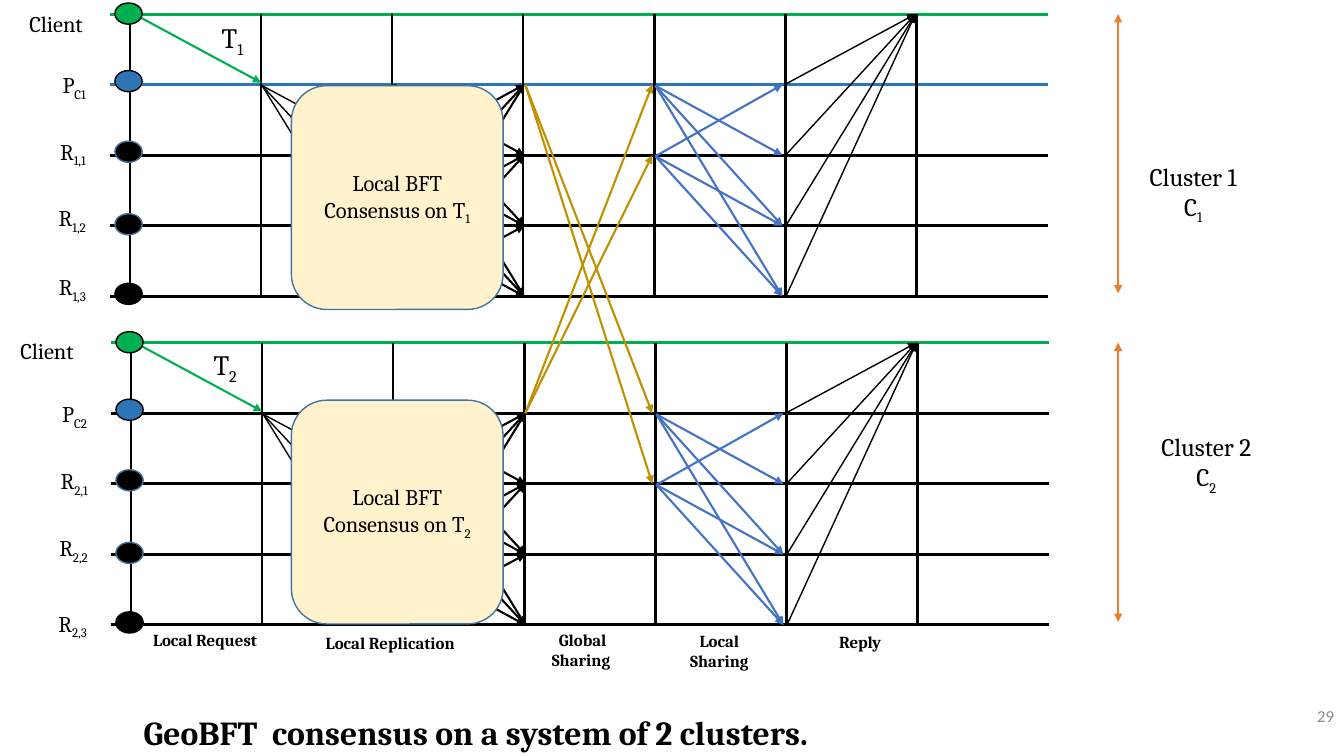
from pptx import Presentation
from pptx.dml.color import RGBColor
from pptx.enum.shapes import MSO_CONNECTOR, MSO_SHAPE
from pptx.enum.text import MSO_ANCHOR, MSO_AUTO_SIZE, PP_ALIGN
from pptx.oxml.ns import qn
from pptx.util import Inches, Pt
from lxml import etree

STRAIGHT = MSO_CONNECTOR.STRAIGHT
OVAL, ROUNDED = MSO_SHAPE.OVAL, MSO_SHAPE.ROUNDED_RECTANGLE
LEFT, CENTER, RIGHT = PP_ALIGN.LEFT, PP_ALIGN.CENTER, PP_ALIGN.RIGHT
TOP, MIDDLE = MSO_ANCHOR.TOP, MSO_ANCHOR.MIDDLE
GROW = MSO_AUTO_SIZE.SHAPE_TO_FIT_TEXT

COLORS = {k: RGBColor.from_string(v) for k, v in {
    "black": "000000", "green": "00B050", "primary": "2E75B6",
    "edge": "43739E", "share": "4472C4", "global": "BF9000",
    "span": "ED7D31", "box": "FFF2CC", "grey": "8C8C8C"}.items()}

prs = Presentation()
prs.slide_width, prs.slide_height = Inches(13.33), Inches(7.5)
s = prs.slides.add_slide(prs.slide_layouts[5])


def add_line(x1, y1, x2, y2, color, width, ends=()):
    """Straight line; ends lists headEnd and/or tailEnd for arrowheads."""
    c = s.shapes.add_connector(STRAIGHT, Inches(x1), Inches(y1), Inches(x2), Inches(y2))
    c.line.color.rgb = COLORS[color]
    c.line.width = Pt(width)
    for end in ends:
        etree.SubElement(c.line._get_or_add_ln(), qn("a:" + end), type="triangle")
    etree.SubElement(c._element.spPr, qn("a:effectLst"))


def write(sp, text, size, align=RIGHT, bold=False, color="black", font="Cambria",
          wrap=False, anchor=TOP, auto_size=GROW):
    """Fill a shape with text; what follows "_" in a line is subscript."""
    tf = sp.text_frame
    tf.word_wrap, tf.vertical_anchor, tf.auto_size = wrap, anchor, auto_size
    for i, line in enumerate(text.split("\n")):
        p = tf.add_paragraph() if i else tf.paragraphs[0]
        p.alignment = align
        for j, part in enumerate(line.split("_")):
            r = p.add_run()
            r.text = part
            for key, value in {"size": Pt(size), "name": font, "bold": bold}.items():
                setattr(r.font, key, value)
            r.font.color.rgb = COLORS[color]
            if j:
                r._r.get_or_add_rPr().set("baseline", "-25000")


ROW_GAP, COL_GAP = 0.7, 1.3
ARROW = ["tailEnd"]
clusters = [
    {"left": 1.09, "top": 0.14, "primary": "primary", "box_top": 0.85,
     "labels": [("Client", 0.12, 0.05, 0.8), ("P_C1", 0.43, 0.66, 0.52),
                ("R_1,1", 0.41, 1.32, 0.54), ("R_1,2", 0.41, 1.98, 0.54),
                ("R_1,3", 0.41, 2.66, 0.54)],
     "request": (2.1, 0.15), "name": (11.22, 1.55, 1.23)},
    {"left": 1.1, "top": 3.4, "primary": "black", "box_top": 3.97,
     "labels": [("Client", 0.03, 3.3, 0.8), ("P_C2", 0.44, 3.92, 0.52),
                ("R_2,1", 0.43, 4.59, 0.54), ("R_2,2", 0.43, 5.25, 0.54),
                ("R_2,3", 0.42, 6.0, 0.54)],
     "request": (2.02, 3.4), "name": (11.36, 4.23, 1.21)},
]
nodes = [(-0.11, "green", "black"), (0.56, "primary", "black"), (1.26, "black", "edge"),
         (1.98, "black", "edge"), (2.67, "black", "black")]

for n, cl in enumerate(clusters, 1):
    left, top = cl["left"], cl["top"]
    rows = [top + ROW_GAP * i for i in range(5)]
    cols = [left + 0.2 + COL_GAP * i for i in range(7)]
    bottom = rows[-1]
    replicas = rows[1:]

    # Timelines and phase borders
    for y, color in zip(rows, ["green", cl["primary"]] + ["black"] * 3):
        add_line(left, y, left + 9.3, y, color, 2.25)
    for x in cols:
        add_line(x, top, x, bottom, "black", 1.75)

    # Request, then the primary's proposal
    add_line(cols[0] + 0.06, top + 0.01, cols[1], rows[1] - 0.02, "green", 1.5, ARROW)
    for y in replicas[1:]:
        add_line(cols[1] + 0.01, rows[1] + 0.01, cols[2], y, "black", 1, ARROW)

    # All-to-all replication
    for y1 in replicas:
        for y2 in replicas:
            if y1 != y2:
                add_line(cols[2] + 0.02, y1, cols[3] + 0.01, y2, "black", 1.5, ARROW)

    # Local sharing by the primary and the first replica
    for y1 in replicas[:2]:
        for y2 in replicas:
            if y1 != y2:
                add_line(cols[4] + 0.01, y1 + 0.01, cols[5] - 0.03, y2, "share", 1.5, ARROW)

    # Replies to the client
    for y in replicas:
        add_line(cols[5] + 0.01, y - 0.01, cols[6] - 0.01, top, "black", 1, ARROW)

    for dy, fill, edge in nodes:
        dot = s.shapes.add_shape(OVAL, Inches(left + 0.05), Inches(top + dy),
                                 Inches(0.27), Inches(0.21))
        dot.shadow.inherit = False
        dot.fill.solid()
        dot.fill.fore_color.rgb = COLORS[fill]
        dot.line.color.rgb = COLORS[edge]
        dot.line.width = Pt(1)

    box = s.shapes.add_shape(ROUNDED, Inches(2.89), Inches(cl["box_top"]),
                             Inches(2.1), Inches(2.22))
    box.shadow.inherit = False
    box.fill.solid()
    box.fill.fore_color.rgb = COLORS["box"]
    box.line.color.rgb = COLORS["edge"]
    box.line.width = Pt(1)
    write(box, f"Local BFT Consensus on T_{n}", 16, CENTER, wrap=True, anchor=MIDDLE,
          auto_size=MSO_AUTO_SIZE.NONE)

    for text, x, y, w in cl["labels"]:
        write(s.shapes.add_textbox(Inches(x), Inches(y), Inches(w), Inches(0.37)), text, 16)
    x, y = cl["request"]
    write(s.shapes.add_textbox(Inches(x), Inches(y), Inches(0.61), Inches(0.44)),
          f"T_{n}", 20, LEFT, wrap=True)
    x, y, w = cl["name"]
    write(s.shapes.add_textbox(Inches(x), Inches(y), Inches(w), Inches(0.71)),
          f"Cluster {n}\nC_{n}", 18, CENTER)
    add_line(11.09, top, 11.09, bottom - 0.03, "span", 1.5, ["headEnd", "tailEnd"])

# Global sharing: each primary reaches two replicas of the other cluster
for sender, receiver in (clusters, clusters[::-1]):
    for i in (1, 2):
        add_line(5.21, sender["top"] + ROW_GAP, 6.47, receiver["top"] + ROW_GAP * i,
                 "global", 1.5, ARROW)

phases = [("Local Request", 1.37, 6.2, 1.28, 0.3, RIGHT),
          ("Local Replication", 3.07, 6.23, 1.54, 0.3, RIGHT),
          ("Global \nSharing", 5.34, 6.2, 0.81, 0.5, RIGHT),
          ("Local\nSharing", 6.73, 6.21, 0.81, 0.5, CENTER),
          ("Reply", 8.18, 6.22, 0.66, 0.3, RIGHT)]
for text, x, y, w, h, align in phases:
    write(s.shapes.add_textbox(Inches(x), Inches(y), Inches(w), Inches(h)),
          text, 12, align, bold=True)

title = s.shapes.title
title.left, title.top, title.width, title.height = map(Inches, (1.02, 7.01, 7.09, 0.5))
write(title, "GeoBFT  consensus on a system of 2 clusters.", 24, bold=True)

number = s.shapes.add_textbox(Inches(11.63), Inches(6.9), Inches(1.7), Inches(0.4))
write(number, "29", 12, color="grey", font="Calibri", wrap=True, anchor=MIDDLE,
      auto_size=MSO_AUTO_SIZE.NONE)

prs.save("out.pptx")
